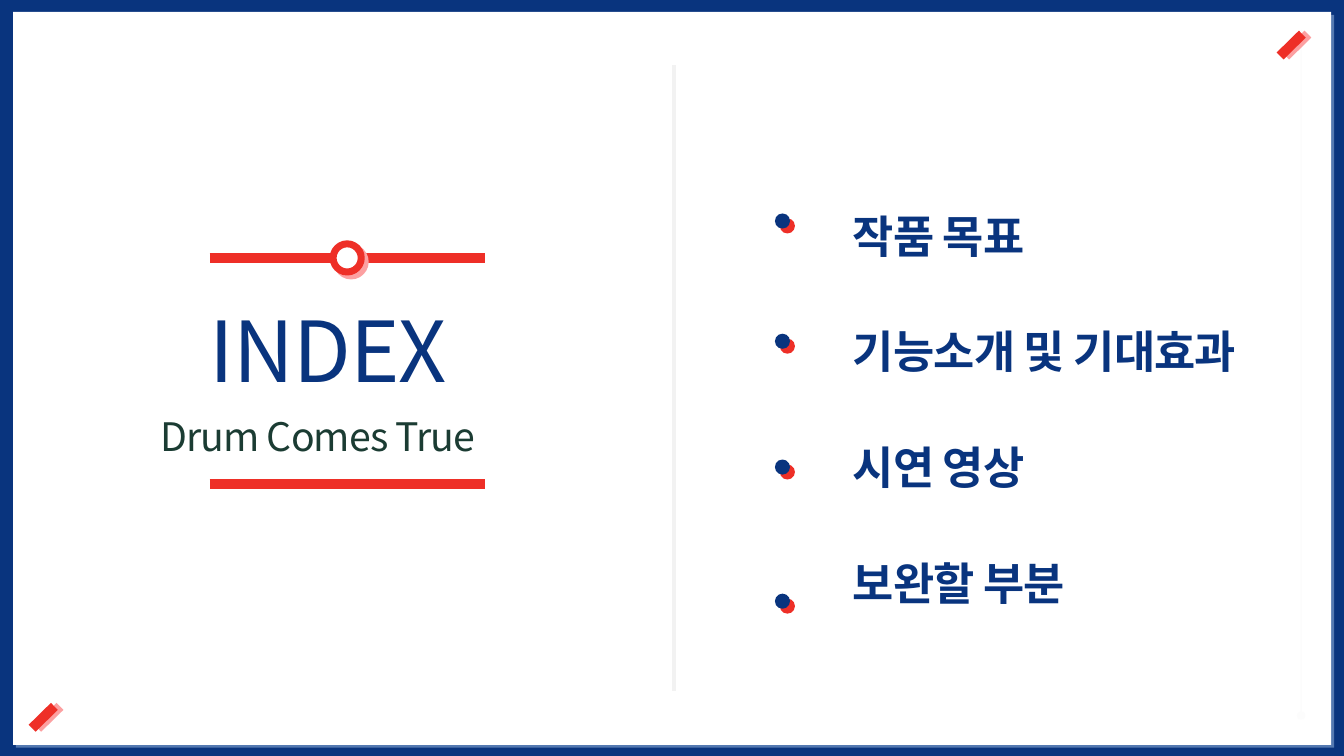
from dataclasses import dataclass

from lxml import etree
from pptx import Presentation
from pptx.dml.color import RGBColor
from pptx.enum import shapes, text
from pptx.oxml import ns
from pptx.util import Cm, Pt


@dataclass(frozen=True)
class Theme:
    navy: str = "09347E"
    red: str = "EE2F27"
    pink: str = "FCA0A1"
    sky: str = "C6E1FE"
    white: str = "FFFFFF"
    grey: str = "F2F2F2"
    green: str = "1B3C33"
    font: str = "Noto Sans CJK KR"
    title: int = 60
    item: int = 32
    subtitle: int = 28
    bar: int = 7


T = Theme()


def rgb(color):
    return RGBColor.from_string(color)


def add_node(parent, tag, **attrs):
    return etree.SubElement(parent, ns.qn(tag), {k: str(v) for k, v in attrs.items()})


def set_shadow(sp, color=None, dist=0, angle=0, alpha=100):
    effects = add_node(sp._element.spPr, "a:effectLst")
    if color:
        outer = add_node(effects, "a:outerShdw", blurRad=0, dist=Pt(dist),
                         dir=angle * 60000, algn="tl", rotWithShape=0)
        clr = add_node(outer, "a:srgbClr", val=color)
        add_node(clr, "a:alpha", val=alpha * 1000)


def add_line(s, x1, y1, x2, y2, color, width):
    line = s.shapes.add_connector(shapes.MSO_CONNECTOR.STRAIGHT,
                                  Cm(x1), Cm(y1), Cm(x2), Cm(y2))
    line.line.color.rgb = rgb(color)
    line.line.width = Pt(width)
    return line


def add_filled(s, kind, x, y, w, h, color, outline=None, width=0):
    sp = s.shapes.add_shape(kind, Cm(x), Cm(y), Cm(w), Cm(h))
    sp.fill.solid()
    sp.fill.fore_color.rgb = rgb(color)
    if outline:
        sp.line.color.rgb = rgb(outline)
        sp.line.width = Pt(width)
    else:
        sp.line.fill.background()
    return sp


def add_text(s, x, y, w, h, lines, size, color, align, bold=False, gap=0):
    tf = s.shapes.add_textbox(Cm(x), Cm(y), Cm(w), Cm(h)).text_frame
    tf.word_wrap = True
    tf.vertical_anchor = text.MSO_ANCHOR.MIDDLE
    tf.margin_left = tf.margin_right = tf.margin_top = tf.margin_bottom = 0
    tf.text = "\n".join(lines)
    for i, p in enumerate(tf.paragraphs):
        p.alignment = align
        p.line_spacing = 1.2
        p.space_before = Pt(gap if i else 0)
        r = p.runs[0]
        r.font.size = Pt(size)
        r.font.bold = bold
        r.font.color.rgb = rgb(color)
        r.font.name = T.font
        props = r._r.get_or_add_rPr()
        props.set("spc", "-60")
        add_node(props, "a:ea", typeface=T.font)


def add_frame(s, x, y, w, h):
    card = add_filled(s, shapes.MSO_SHAPE.RECTANGLE, x, y, w, h, T.white)
    set_shadow(card, T.sky, 3, 45, 40)

    edge = add_line(s, x + 32.46, y + 0.56, x + 32.46, y + 17.73, T.grey, 1)
    ln = edge.line._get_or_add_ln()
    add_node(ln.find(".//" + ns.qn("a:srgbClr")), "a:alpha", val=22000)
    add_node(ln, "a:headEnd", type="oval")
    add_node(ln, "a:tailEnd", type="oval")
    set_shadow(edge)

    divider = add_line(s, x + 16.66, y + 1.35, x + 16.66, y + 17.1, T.grey, 2.5)
    set_shadow(divider)

    for left, top in ((31.93, 0.56), (0.48, 17.5)):
        slash = add_line(s, x + left + 0.56, y + top, x + left, y + top + 0.55,
                         T.red, T.bar)
        set_shadow(slash, T.pink, 4)


def add_title_panel(s, x, y, w, h):
    for bar_y in (y, y + h):
        set_shadow(add_line(s, x, bar_y, x + w, bar_y, T.red, T.bar))
    d = 0.71
    ring = add_filled(s, shapes.MSO_SHAPE.OVAL, x + (w - d) / 2, y - d / 2, d, d,
                      T.white, T.red, 5)
    set_shadow(ring, T.pink, 4, 45)
    justify = text.PP_ALIGN.JUSTIFY
    add_text(s, x, y + 1.25, w, 1.57, ["INDEX"], T.title, T.navy, justify)
    add_text(s, x - 1.24, y + 3.69, 10.72, 1.35, ["Drum Comes True"],
             T.subtitle, T.green, justify)


def add_menu(s, x, y, w, h, items):
    indent = 1.96
    add_text(s, x + indent, y, w - indent, h, list(items), T.item, T.navy,
             text.PP_ALIGN.LEFT, bold=True, gap=36.6)
    for drop in items.values():
        dot = add_filled(s, shapes.MSO_SHAPE.OVAL, x, y + drop, 0.38, 0.38, T.navy)
        set_shadow(dot, T.red, 5, 45)


def main():
    prs = Presentation()
    prs.slide_width, prs.slide_height = Cm(33.87), Cm(19.05)
    s = prs.slides.add_slide(prs.slide_layouts[6])
    s.background.fill.solid()
    s.background.fill.fore_color.rgb = rgb(T.navy)
    add_frame(s, 0.33, 0.3, 33.22, 18.47)
    add_title_panel(s, 5.28, 6.5, 6.94, 5.69)
    add_menu(s, 19.53, 5.38, 12.98, 9.58, {
        "작품 목표": 0,
        "기능소개 및 기대효과": 3.03,
        "시연 영상": 6.2,
        "보완할 부분": 9.58,
    })
    prs.save("out.pptx")


if __name__ == "__main__":
    main()
